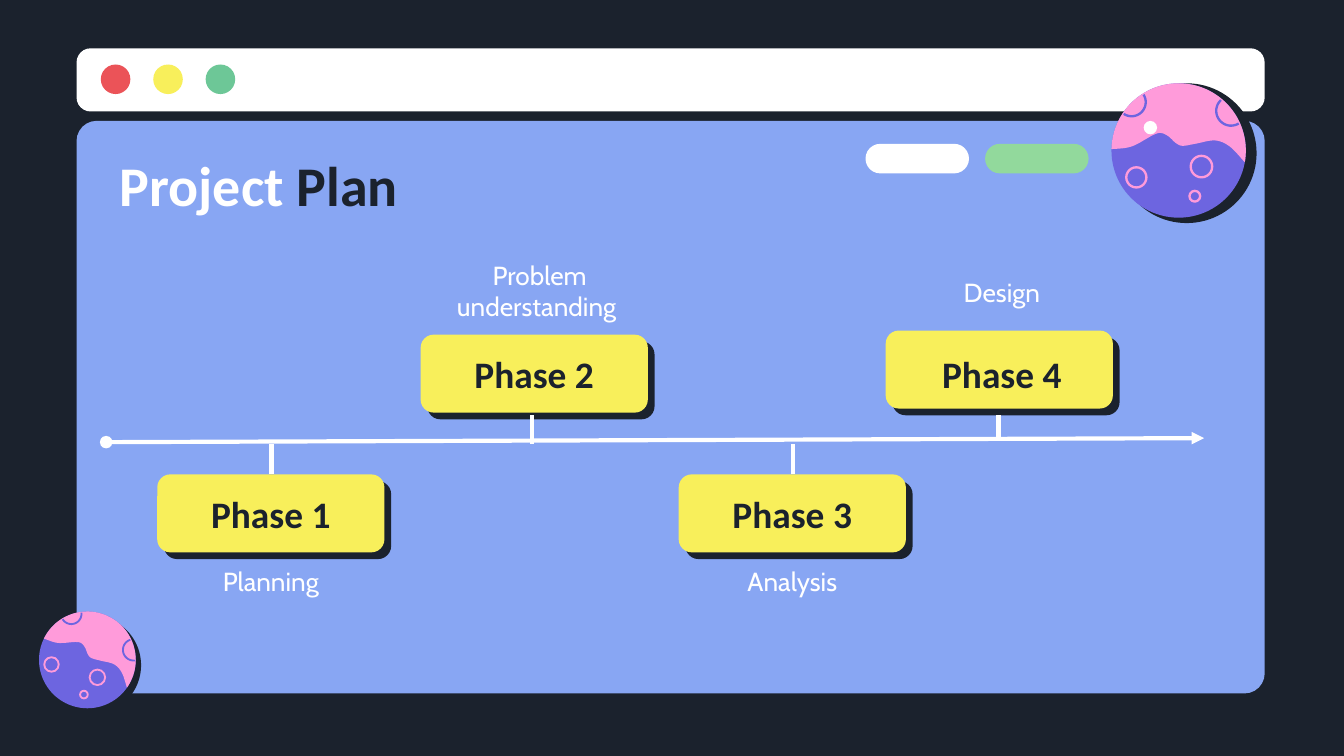
import math
from dataclasses import dataclass

from lxml import etree
from pptx import Presentation
from pptx import util as u
from pptx.dml.color import RGBColor
from pptx.enum import shapes, text
from pptx.oxml.ns import qn


@dataclass(frozen=True)
class Theme:
    ink: str = "1B222D"
    panel: str = "88A6F3"
    white: str = "FFFFFF"
    yellow: str = "F8EF5B"
    red: str = "EB5358"
    green: str = "6DC797"
    pill: str = "92D99C"
    purple: str = "6D65E0"
    pink: str = "FF9BDA"
    heading: str = "Calibri"
    body: str = "Cabin"
    title_size: int = 30
    phase_size: int = 20
    label_size: int = 14
    line_width: float = 2.25


T = Theme()
ROUND = shapes.MSO_SHAPE.ROUNDED_RECTANGLE
OVAL = shapes.MSO_SHAPE.OVAL
CARD_W, CARD_H = 1.69, 0.58

PHASES = [
    ("Phase 1", (1.17, 3.53), (1.27, 3.53), "Planning", (1.27, 4.11, 1.49, 0.83), (2.02, 3.53, 3.3)),
    ("Phase 2", (3.13, 2.49), (3.23, 2.49), "Problem understanding ", (3.27, 1.83, 1.49, 0.7), (3.96, 3.09, 3.3)),
    ("Phase 3", (5.05, 3.53), (5.15, 3.53), "Analysis", (5.15, 4.11, 1.49, 0.83), (5.9, 3.53, 3.3)),
    ("Phase 4", (6.59, 2.46), (6.71, 2.49), "Design", (6.67, 1.96, 1.57, 0.42), (7.43, 3.26, 3.09)),
]

WAVE = [(-1, -0.02), (-0.7, -0.06), (-0.38, -0.23), (-0.26, -0.26), (-0.15, -0.21), (-0.04, -0.11),
        (0.06, -0.07), (0.25, -0.1), (0.54, -0.15), (0.76, -0.06), (0.98, 0.17)]
CRATERS = [(-0.63, 0.4, 0.15), (0.34, 0.24, 0.16), (0.24, 0.68, 0.08)]
EDGE_CRATERS = [(-0.7, -0.72, 0.21), (0.78, -0.59, 0.22)]


def rgb(color):
    return RGBColor.from_string(color)


def paint(sp, fill=None, line=None, width=1):
    sp.shadow.inherit = False
    if fill:
        sp.fill.solid()
        sp.fill.fore_color.rgb = rgb(fill)
    else:
        sp.fill.background()
    if line:
        sp.line.color.rgb = rgb(line)
        sp.line.width = u.Pt(width)
    else:
        sp.line.fill.background()


def add_box(s, kind, box, fill, radius):
    sp = s.shapes.add_shape(kind, *map(u.Inches, box))
    sp.adjustments[0] = radius
    paint(sp, fill)


def add_circle(s, x, y, r, fill=None, line=None, width=1):
    sp = s.shapes.add_shape(OVAL, *map(u.Inches, (x - r, y - r, 2 * r, 2 * r)))
    paint(sp, fill, line, width)


def add_outline(s, points, closed, **style):
    pts = [(u.Inches(x), u.Inches(y)) for x, y in points]
    fb = s.shapes.build_freeform(*pts[0])
    fb.add_line_segments(pts[1:], close=closed)
    paint(fb.convert_to_shape(), **style)


def add_line(s, x1, y1, x2, y2, ends=()):
    c = s.shapes.add_connector(shapes.MSO_CONNECTOR.STRAIGHT, *map(u.Inches, (x1, y1, x2, y2)))
    c.line.color.rgb = rgb(T.white)
    c.line.width = u.Pt(T.line_width)
    props = c.element.spPr
    for tag, kind in ends:
        etree.SubElement(props.find(qn("a:ln")), qn(tag), type=kind)
    etree.SubElement(props, qn("a:effectLst"))


def write(sp, runs, size, font, bold=False, align=text.PP_ALIGN.CENTER, anchor=text.MSO_ANCHOR.MIDDLE):
    tf = sp.text_frame
    tf.word_wrap = True
    tf.auto_size = text.MSO_AUTO_SIZE.NONE
    tf.vertical_anchor = anchor
    tf.margin_left = tf.margin_right = tf.margin_top = tf.margin_bottom = u.Inches(0.1)
    p = tf.paragraphs[0]
    p.alignment = align
    for words, color in runs:
        r = p.add_run()
        r.text = words
        r.font.size = u.Pt(size)
        r.font.name = font
        r.font.bold = bold
        r.font.color.rgb = rgb(color)


def smooth_curve(points, steps=8):
    padded = [points[0], *points, points[-1]]
    curve = []
    for a, b, c, d in zip(padded, padded[1:], padded[2:], padded[3:]):
        for t in (i / steps for i in range(steps)):
            curve.append(tuple(
                q + ((r - p) * t + (2 * p - 5 * q + 4 * r - v) * t**2 + (3 * q - p - 3 * r + v) * t**3) / 2
                for p, q, r, v in zip(a, b, c, d)))
    return curve + [points[-1]]


def arc(x, y, r, start, sweep, steps=60):
    angles = (start + sweep * i / steps for i in range(steps + 1))
    return [(x + r * math.cos(a), y + r * math.sin(a)) for a in angles]


def add_planet(s, x, y, r, turn, shadow, width):
    cos, sin = math.cos(math.radians(turn)), math.sin(math.radians(turn))

    def place(px, py):
        return x + r * (px * cos - py * sin), y + r * (px * sin + py * cos)

    add_circle(s, *shadow, T.ink)
    add_circle(s, x, y, r, T.purple)
    start, end = (math.atan2(py, px) for px, py in (WAVE[-1], WAVE[0]))
    cap = smooth_curve(WAVE) + arc(0, 0, 1, start, end - start)
    add_outline(s, [place(*pt) for pt in cap], True, fill=T.pink)
    for cx, cy, cr in CRATERS:
        add_circle(s, *place(cx, cy), cr * r, line=T.pink, width=width)
    for cx, cy, cr in EDGE_CRATERS:
        ring = arc(cx, cy, cr, math.atan2(cy, cx), 2 * math.pi)
        inside = [place(*pt) for pt in ring if math.hypot(*pt) <= 1]
        add_outline(s, inside, False, line=T.purple, width=width)


def add_window(s):
    add_box(s, ROUND, (0.57, 0.9, 8.84, 4.26), T.panel, 0.035)
    add_box(s, ROUND, (0.57, 0.36, 8.84, 0.47), T.white, 0.223)
    for i, color in enumerate((T.red, T.yellow, T.green)):
        add_circle(s, 0.86 + 0.39 * i, 0.59, 0.11, color)
    for left, color in ((6.44, T.white), (7.33, T.pill)):
        add_box(s, ROUND, (left, 1.07, 0.77, 0.22), color, 0.5)


def add_title(s):
    title = s.shapes.title
    title.left, title.top, title.width, title.height = map(u.Inches, (0.79, 1.06, 8.43, 0.62))
    write(title, [("Project ", T.white), ("Plan", T.ink)], T.title_size, T.heading, True,
          text.PP_ALIGN.LEFT)
    title.element.getparent().append(title.element)


def add_phase(s, name, card, name_at, label, label_box, tick):
    left, top = card
    for shift, color in ((0.05, T.ink), (0, T.yellow)):
        add_box(s, ROUND, (left + shift, top + shift, CARD_W, CARD_H), color, 0.167)
    tb = s.shapes.add_textbox(*map(u.Inches, (*name_at, 1.49, CARD_H)))
    write(tb, [(name, T.ink)], T.phase_size, T.heading, True)
    tb = s.shapes.add_textbox(*map(u.Inches, label_box))
    write(tb, [(label, T.white)], T.label_size, T.body, anchor=text.MSO_ANCHOR.TOP)
    x, start, end = tick
    add_line(s, x, start, x, end)


def main():
    prs = Presentation()
    prs.slide_width = u.Inches(10)
    prs.slide_height = prs.slide_width * 9 // 16
    s = prs.slides.add_slide(prs.slide_layouts[5])
    s.background.fill.solid()
    s.background.fill.fore_color.rgb = rgb(T.ink)
    add_window(s)
    add_planet(s, 8.77, 1.12, 0.5, 0, (8.83, 1.14, 0.52), 1.25)
    add_planet(s, 0.65, 4.91, 0.36, 25, (0.68, 4.95, 0.37), 1)
    add_title(s)
    for phase in PHASES:
        add_phase(s, *phase)
    add_line(s, 0.79, 3.29, 8.96, 3.26, [("a:headEnd", "oval"), ("a:tailEnd", "triangle")])
    add_circle(s, 8.56, 0.95, 0.05, T.white)
    prs.save("out.pptx")


if __name__ == "__main__":
    main()
